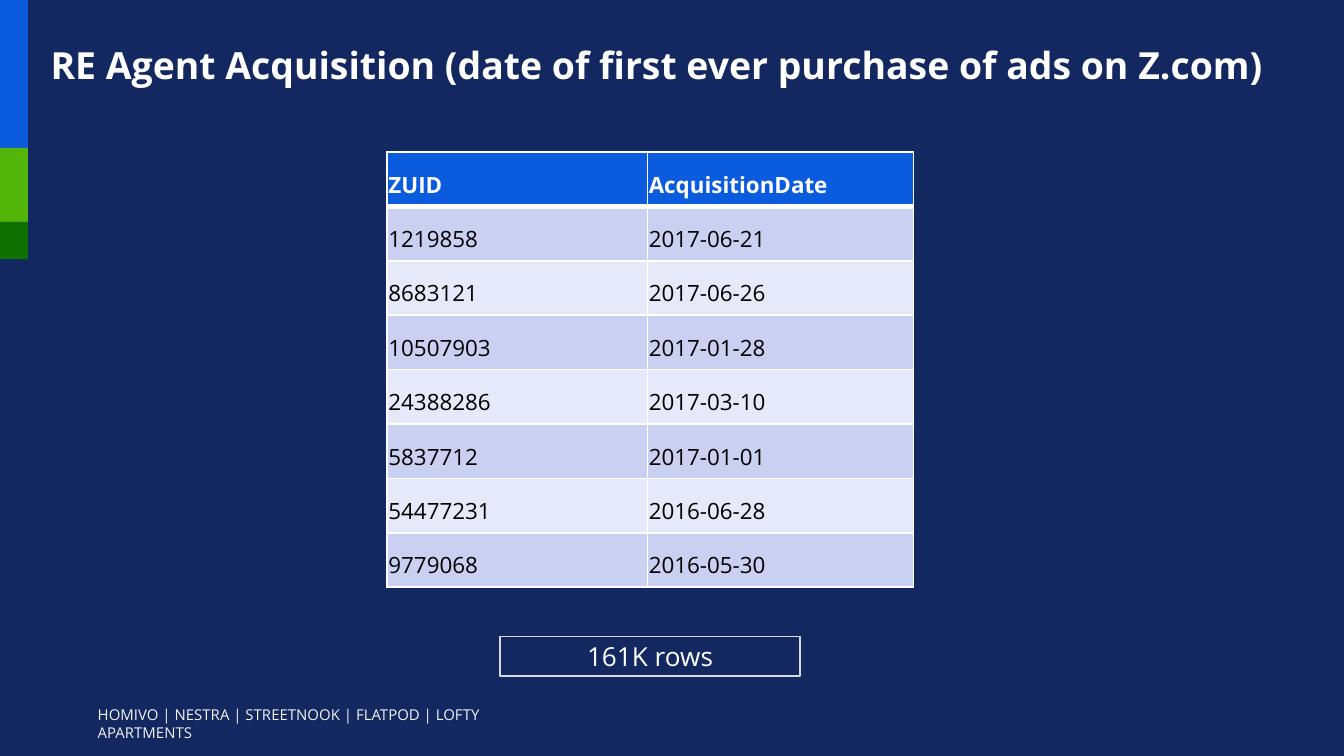
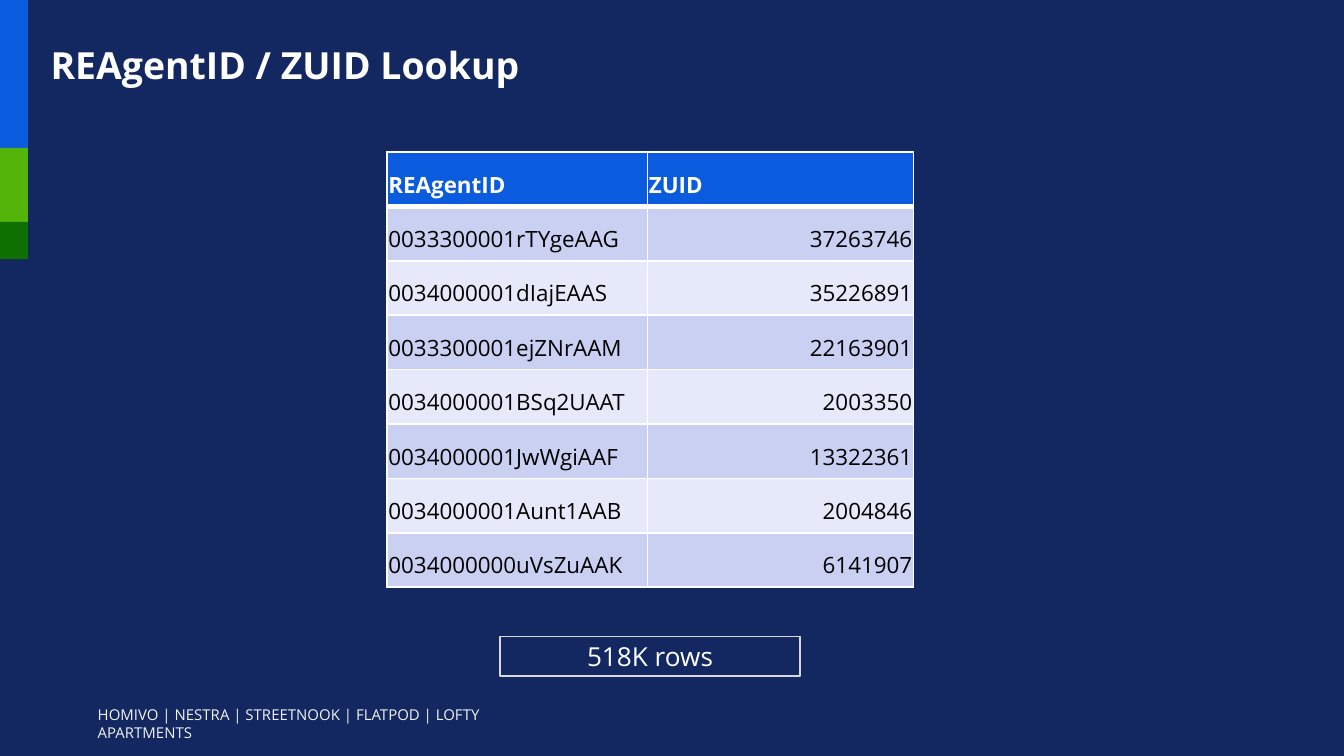
from lxml import etree
from pptx import Presentation
from pptx.dml.color import RGBColor
from pptx.enum.shapes import MSO_SHAPE
from pptx.enum.text import MSO_ANCHOR, MSO_AUTO_SIZE, PP_ALIGN
from pptx.oxml.ns import qn
from pptx.util import Pt

RECTANGLE = MSO_SHAPE.RECTANGLE
LEFT, CENTER, RIGHT = PP_ALIGN.LEFT, PP_ALIGN.CENTER, PP_ALIGN.RIGHT
TOP, MIDDLE, BOTTOM = MSO_ANCHOR.TOP, MSO_ANCHOR.MIDDLE, MSO_ANCHOR.BOTTOM
NO_FIT = MSO_AUTO_SIZE.NONE

FONT = "Open Sans"
COLORS = {
    "navy": "132860", "blue": "0A5BDD", "green": "53B509", "forest": "0E7001",
    "header": "0A5BDE", "odd_row": "CAD0F2", "even_row": "E6E9F9",
    "white": "FFFFFF", "black": "000000", "footer": "F2F2F2", "outline": "D8D8D8",
}
BANDS = [("blue", 0, 79.5), ("green", 79.2, 40), ("forest", 118.9, 20)]
FOOTER = "HOMIVO | NESTRA | STREETNOOK | FLATPOD | LOFTY APARTMENTS"
COLUMN_WIDTHS = [139.5, 142.5]
ROW_HEIGHT = 29.15

PAGES = [
    {
        "title": "RE Agent Acquisition (date of first ever purchase of ads on Z.com)",
        "rows": [
            ("ZUID", "AcquisitionDate"),
            ("1219858", "2017-06-21"),
            ("8683121", "2017-06-26"),
            ("10507903", "2017-01-28"),
            ("24388286", "2017-03-10"),
            ("5837712", "2017-01-01"),
            ("54477231", "2016-06-28"),
            ("9779068", "2016-05-30"),
        ],
        "value_align": LEFT,
        "count": "161K rows",
    },
    {
        "title": "REAgentID / ZUID Lookup",
        "rows": [
            ("REAgentID", "ZUID"),
            ("0033300001rTYgeAAG", "37263746"),
            ("0034000001dIajEAAS", "35226891"),
            ("0033300001ejZNrAAM", "22163901"),
            ("0034000001BSq2UAAT", "2003350"),
            ("0034000001JwWgiAAF", "13322361"),
            ("0034000001Aunt1AAB", "2004846"),
            ("0034000000uVsZuAAK", "6141907"),
        ],
        "value_align": RIGHT,
        "count": "518K rows",
    },
]


def write_text(frame, text, size, color, bold=False, align=LEFT, anchor=TOP,
               insets=(7.2, 3.6, 7.2, 3.6)):
    """Fill a text frame with one formatted run; insets are left, top, right, bottom."""
    frame.word_wrap = True
    frame.vertical_anchor = anchor
    frame.margin_left, frame.margin_top, frame.margin_right, frame.margin_bottom = map(Pt, insets)
    para = frame.paragraphs[0]
    para.alignment = align
    span = para.add_run()
    span.text = text
    span.font.name = FONT
    span.font.size = Pt(size)
    span.font.bold = bold
    span.font.color.rgb = RGBColor.from_string(COLORS[color])
    return para


def set_borders(cell, widths):
    """Draw white borders; widths are left, right, top, bottom."""
    properties = cell._tc.get_or_add_tcPr()
    for index, (side, width) in enumerate(zip("LRTB", widths)):
        line = etree.Element(qn(f"a:ln{side}"), w=str(Pt(width)))
        fill = etree.SubElement(line, qn("a:solidFill"))
        etree.SubElement(fill, qn("a:srgbClr"), val=COLORS["white"])
        properties.insert(index, line)


deck = Presentation()
deck.slide_width, deck.slide_height = Pt(720), Pt(405)
title_only = deck.slide_layouts[5]
backdrop = deck.slide_master.background.fill
backdrop.solid()
backdrop.fore_color.rgb = RGBColor.from_string(COLORS["navy"])

for content in PAGES:
    page = deck.slides.add_slide(title_only)

    # Side bands
    for color, top, height in BANDS:
        band = page.shapes.add_shape(RECTANGLE, 0, Pt(top), Pt(15), Pt(height))
        band.shadow.inherit = False
        band.fill.solid()
        band.fill.fore_color.rgb = RGBColor.from_string(COLORS[color])
        band.line.fill.background()

    # Footer
    footer = page.shapes.add_textbox(Pt(45.3), Pt(374.4), Pt(268.6), Pt(17))
    write_text(footer.text_frame, FOOTER, 8, "footer")

    # Title
    title = page.shapes.title
    title.left, title.top, title.width, title.height = Pt(25.5), Pt(16), Pt(685), Pt(31.5)
    title.text_frame.auto_size = NO_FIT
    para = write_text(title.text_frame, content["title"], 20, "white", bold=True,
                      anchor=BOTTOM, insets=(1.6, 0.8, 1.6, 0.8))
    para.line_spacing = 0.9

    # Table
    rows = content["rows"]
    frame = page.shapes.add_table(len(rows), len(COLUMN_WIDTHS), Pt(207.4), Pt(81.4),
                                  Pt(sum(COLUMN_WIDTHS)), Pt(ROW_HEIGHT * len(rows)))
    table = frame.table
    for column, width in zip(table.columns, COLUMN_WIDTHS):
        column.width = Pt(width)
    for r, values in enumerate(rows):
        table.rows[r].height = Pt(ROW_HEIGHT)
        is_header = r == 0
        row_color = "header" if is_header else "odd_row" if r % 2 else "even_row"
        for c, value in enumerate(values):
            cell = table.cell(r, c)
            cell.fill.solid()
            cell.fill.fore_color.rgb = RGBColor.from_string(COLORS[row_color])
            set_borders(cell, (1, 1, 3 if r == 1 else 1, 3 if is_header else 1))
            cell.vertical_anchor = BOTTOM
            cell.margin_left = cell.margin_top = cell.margin_right = Pt(0.7)
            cell.margin_bottom = Pt(3.6)
            para = cell.text_frame.paragraphs[0]
            para.alignment = content["value_align"] if c == 1 and not is_header else LEFT
            span = para.add_run()
            span.text = value
            span.font.name = FONT
            span.font.size = Pt(12)
            span.font.bold = is_header
            span.font.color.rgb = RGBColor.from_string(COLORS["white" if is_header else "black"])

    # Row count
    count = page.shapes.add_shape(RECTANGLE, Pt(268), Pt(341), Pt(160.6), Pt(21.2))
    count.shadow.inherit = False
    count.fill.background()
    count.line.color.rgb = RGBColor.from_string(COLORS["outline"])
    count.line.width = Pt(1)
    write_text(count.text_frame, content["count"], 14, "white", align=CENTER, anchor=MIDDLE)

deck.save("out.pptx")
